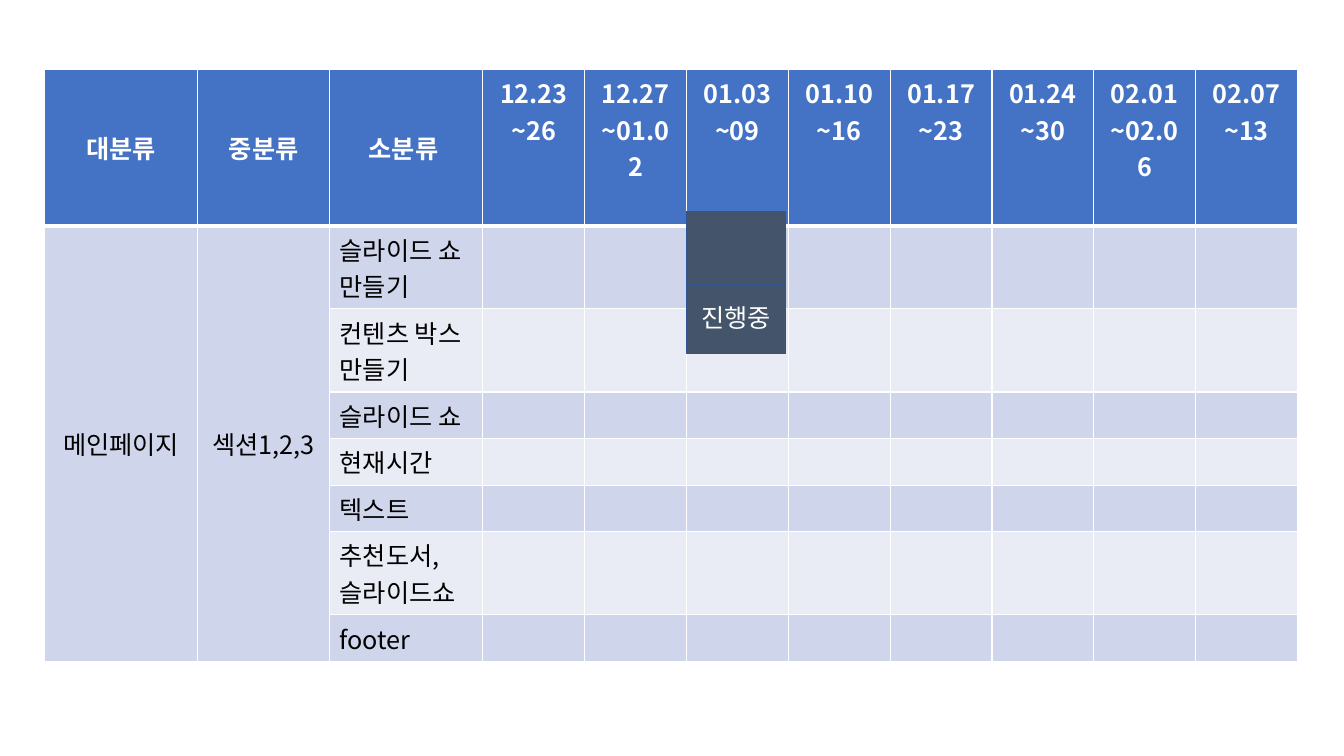
from lxml import etree
from pptx import Presentation
from pptx.dml.color import RGBColor
from pptx.enum.shapes import MSO_SHAPE
from pptx.enum.text import MSO_ANCHOR, PP_ALIGN
from pptx.oxml import parse_xml
from pptx.oxml.ns import nsdecls, qn
from pptx.util import Inches, Pt

CENTER, LEFT = PP_ALIGN.CENTER, PP_ALIGN.LEFT
MIDDLE, TOP = MSO_ANCHOR.MIDDLE, MSO_ANCHOR.TOP

# Content
CATEGORIES = ["대분류", "중분류", "소분류\u00a0"]
PERIODS = ["12.23~26", "12.27~01.02", "01.03~09", "01.10~16",
           "01.17~23", "01.24~30", "02.01~02.06", "02.07~13"]
PAGE, SECTION = "메인페이지", "섹션1,2,3"
TASKS = [  # task, lines it takes
    ("슬라이드 쇼 만들기", 2),
    ("컨텐츠\u00a0박스 만들기", 2),
    ("슬라이드 쇼", 1),
    ("현재시간\u00a0", 1),
    ("텍스트", 1),
    ("추천도서,슬라이드쇼", 2),
    ("footer", 1),
]
ACTIVE_PERIOD = "01.03~09"
PROGRESS_BARS = [(2.79, "진행중"), (2.1, "")]  # top, label

# Layout, in inches
SLIDE_WIDTH, SLIDE_HEIGHT = 13.33, 7.5
TABLE_LEFT, TABLE_TOP = 0.44, 0.69
CATEGORY_WIDTHS, PERIOD_WIDTH = [1.52, 1.31, 1.52], 1.01
HEADER_HEIGHT, LINE_HEIGHT, CELL_PADDING = 1.55, 0.36, 0.1
BAR_WIDTH, BAR_HEIGHT = 0.98, 0.72

THEME = {
    "font": "Noto Sans CJK KR", "size": 18,
    "header": "4472C4", "bands": ["CFD5EA", "E9EBF5"], "grid": "FFFFFF",
    "light": "FFFFFF", "dark": "000000",
    "bar": "44546A", "bar_line": "325491",
    "grid_width": 1, "header_rule": 3,
}


def paint(part, color):
    """Give a cell or shape a solid fill."""
    part.fill.solid()
    part.fill.fore_color.rgb = RGBColor.from_string(color)


def write(frame, text, color, align, bold=False):
    """Write one paragraph in the theme's type."""
    paragraph = frame.paragraphs[0]
    paragraph.alignment = align
    run = paragraph.add_run()
    run.text = text
    formats = {"name": THEME["font"], "size": Pt(THEME["size"]), "bold": bold}
    for attribute, value in formats.items():
        setattr(run.font, attribute, value)
    run.font.color.rgb = RGBColor.from_string(color)
    east_asian = etree.SubElement(run.font._element, qn("a:ea"))
    east_asian.set("typeface", THEME["font"])


def rule_cell(cell, top, bottom):
    """Draw the four cell borders, widths in points."""
    side = THEME["grid_width"]
    borders = {"lnL": side, "lnR": side, "lnT": top, "lnB": bottom}
    properties = cell._tc.get_or_add_tcPr()
    for position, (tag, width) in enumerate(borders.items()):
        properties.insert(position, parse_xml(
            f'<a:{tag} {nsdecls("a")} w="{Pt(width)}"><a:solidFill>'
            f'<a:srgbClr val="{THEME["grid"]}"/></a:solidFill></a:{tag}>'))


def add_schedule(slide):
    """Add the table of tasks against periods."""
    headings = CATEGORIES + PERIODS
    widths = CATEGORY_WIDTHS + [PERIOD_WIDTH] * len(PERIODS)
    heights = [HEADER_HEIGHT] + [
        lines * LINE_HEIGHT + CELL_PADDING for _, lines in TASKS]
    schedule = slide.shapes.add_table(
        len(heights), len(widths), Inches(TABLE_LEFT), Inches(TABLE_TOP),
        Inches(sum(widths)), Inches(sum(heights))).table
    for column, width in zip(schedule.columns, widths):
        column.width = Inches(width)
    for row, height in zip(schedule.rows, heights):
        row.height = Inches(height)

    thin, thick = THEME["grid_width"], THEME["header_rule"]
    for row_index, row in enumerate(schedule.rows):
        band = THEME["bands"][(row_index - 1) % 2]
        for cell in row.cells:
            paint(cell, band if row_index else THEME["header"])
            rule_cell(cell, thick if row_index == 1 else thin,
                      thin if row_index else thick)

    for index, heading in enumerate(headings):
        cell = schedule.cell(0, index)
        cell.vertical_anchor = MIDDLE if index < len(CATEGORIES) else TOP
        write(cell.text_frame, heading, THEME["light"], CENTER, bold=True)
    for index, group in enumerate([PAGE, SECTION]):
        cell = schedule.cell(1, index)
        cell.merge(schedule.cell(len(TASKS), index))
        cell.vertical_anchor = MIDDLE
        write(cell.text_frame, group, THEME["dark"], CENTER)
    for index, (task, _) in enumerate(TASKS, start=1):
        write(schedule.cell(index, 2).text_frame, task, THEME["dark"], LEFT)


def add_progress(slide):
    """Place the progress bars in the column of the active period."""
    left = (TABLE_LEFT + sum(CATEGORY_WIDTHS)
            + PERIODS.index(ACTIVE_PERIOD) * PERIOD_WIDTH)
    for top, label in PROGRESS_BARS:
        bar = slide.shapes.add_shape(
            MSO_SHAPE.RECTANGLE, Inches(left), Inches(top),
            Inches(BAR_WIDTH), Inches(BAR_HEIGHT))
        bar.shadow.inherit = False
        paint(bar, THEME["bar"])
        bar.line.color.rgb = RGBColor.from_string(THEME["bar_line"])
        bar.line.width = Pt(1)
        if label:
            bar.text_frame.vertical_anchor = MIDDLE
            write(bar.text_frame, label, THEME["light"], CENTER)


deck = Presentation()
deck.slide_width, deck.slide_height = Inches(SLIDE_WIDTH), Inches(SLIDE_HEIGHT)
schedule_slide = deck.slides.add_slide(deck.slide_layouts[6])
add_schedule(schedule_slide)
add_progress(schedule_slide)
deck.save("out.pptx")
